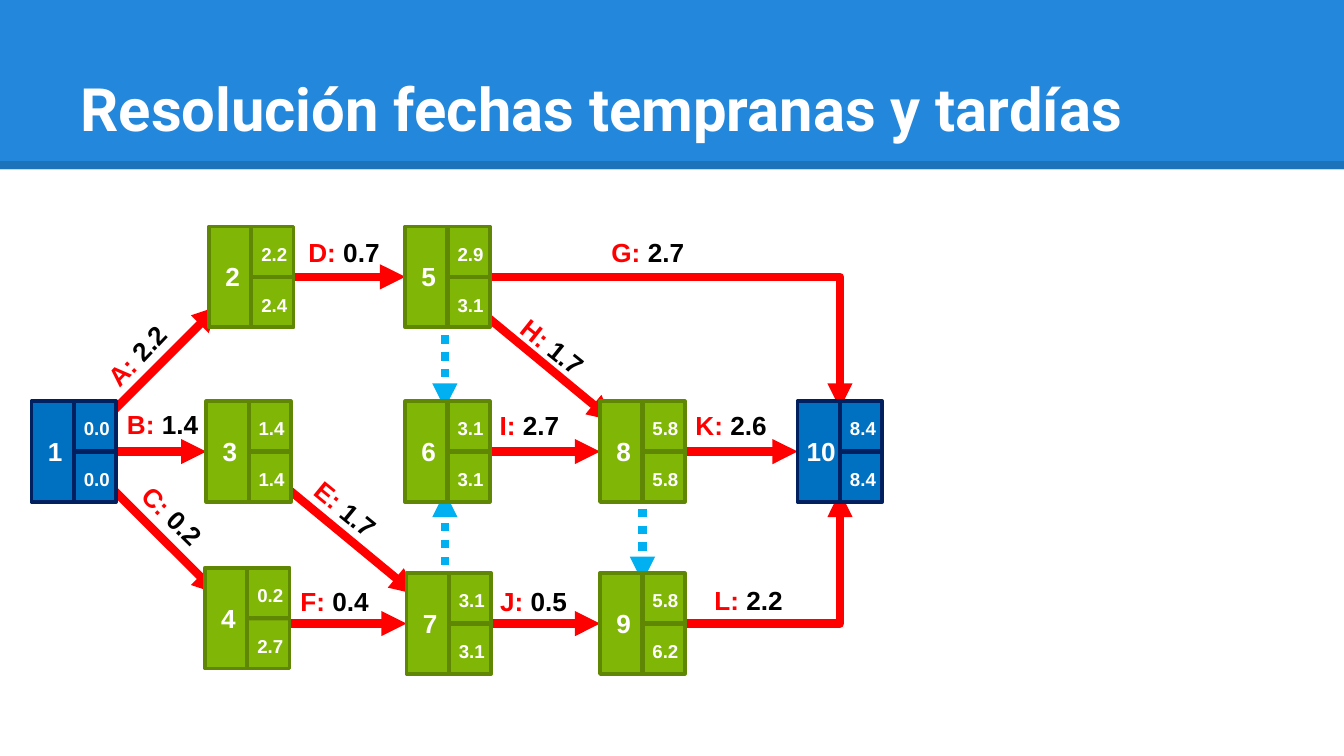
from lxml import etree
from pptx import Presentation
from pptx.dml.color import RGBColor
from pptx.enum.dml import MSO_LINE
from pptx.enum.shapes import MSO_CONNECTOR, MSO_SHAPE
from pptx.enum.text import MSO_ANCHOR, MSO_AUTO_SIZE, PP_ALIGN
from pptx.oxml.ns import qn
from pptx.util import Inches, Pt

STRAIGHT, ELBOW = MSO_CONNECTOR.STRAIGHT, MSO_CONNECTOR.ELBOW
TOP, LEFT, BOTTOM, RIGHT = range(4)

WHITE = RGBColor(0xFF, 0xFF, 0xFF)
BLACK = RGBColor(0x00, 0x00, 0x00)
RED = RGBColor(0xFF, 0x00, 0x00)
SKY = RGBColor(0x00, 0xB0, 0xF0)
BAND_BLUE = RGBColor(0x23, 0x88, 0xDB)
BLUE = RGBColor(0x00, 0x70, 0xC0)
NAVY = RGBColor(0x00, 0x20, 0x60)
GREEN = RGBColor(0x80, 0xB6, 0x06)
DARK_GREEN = RGBColor(0x5F, 0x87, 0x04)

# Centres of the network grid, in inches
COLUMNS = [0.55, 1.84, 3.31, 4.78, 6.25]
ROWS = [2.06, 3.35, 4.64]
NODE_WIDTH, NODE_HEIGHT = 0.63, 0.75
SIDE_REACH, CORNER_REACH = 0.31, 0.22

# number: column, row, shift right, shift down, earliest date, latest date
NODES = {
    1: (0, 1, 0, 0.01, "0.0", "0.0"),
    2: (1, 0, 0.03, 0, "2.2", "2.4"),
    3: (1, 1, 0.01, 0.01, "1.4", "1.4"),
    4: (1, 2, 0, -0.04, "0.2", "2.7"),
    5: (2, 0, 0.02, 0, "2.9", "3.1"),
    6: (2, 1, 0.02, 0.01, "3.1", "3.1"),
    7: (2, 2, 0.03, 0, "3.1", "3.1"),
    8: (3, 1, 0, 0.01, "5.8", "5.8"),
    9: (3, 2, 0, 0, "5.8", "6.2"),
    10: (4, 1, 0, 0.01, "8.4", "8.4"),
}
# name, duration, from node, to node, label centre, label rotation
ACTIVITIES = [
    ("A", "2.2", 1, 2, 1.02, 2.65, 313.4),
    ("B", "1.4", 1, 3, 1.21, 3.16, 0),
    ("C", "0.2", 1, 4, 1.28, 3.84, 44.4),
    ("D", "0.7", 2, 5, 2.56, 1.88, 0),
    ("E", "1.7", 3, 7, 2.57, 3.79, 39.3),
    ("F", "0.4", 4, 7, 2.49, 4.48, 0),
    ("G", "2.7", 5, 10, 4.82, 1.88, 0),
    ("H", "1.7", 5, 8, 4.11, 2.58, 38.6),
    ("I", "2.7", 6, 8, 3.94, 3.17, 0),
    ("J", "0.5", 7, 9, 3.97, 4.48, 0),
    ("K", "2.6", 8, 10, 5.44, 3.17, 0),
    ("L", "2.2", 9, 10, 5.57, 4.47, 0),
]
DUMMIES = [(7, 6), (5, 6), (8, 9)]
ELBOWS = ["G", "L"]


def add_text(shapes, center_x, center_y, width, height, size, runs):
    text_box = shapes.add_textbox(Inches(center_x - width / 2), Inches(center_y - height / 2),
                                  Inches(width), Inches(height))
    frame = text_box.text_frame
    frame.word_wrap = False
    frame.auto_size = MSO_AUTO_SIZE.SHAPE_TO_FIT_TEXT
    paragraph = frame.paragraphs[0]
    paragraph.alignment = PP_ALIGN.CENTER
    for text, color in runs:
        run = paragraph.add_run()
        run.text = text
        for name, value in {"name": "Arial", "size": Pt(size), "bold": True}.items():
            setattr(run.font, name, value)
        run.font.color.rgb = color
    return text_box


def add_line(shapes, start, end, color, width, kind=STRAIGHT):
    line = shapes.add_connector(kind, *map(Inches, (*start, *end)))
    line.line.color.rgb = color
    line.line.width = Pt(width)
    etree.SubElement(line.element.spPr, qn("a:effectLst"))
    return line


presentation = Presentation()
presentation.slide_width = Inches(10)
presentation.slide_height = presentation.slide_width * 9 // 16
slide = presentation.slides.add_slide(presentation.slide_layouts[5])
shapes = slide.shapes

# Title band
band = shapes.add_shape(MSO_SHAPE.RECTANGLE, 0, 0, presentation.slide_width, Inches(1.26))
band.shadow.inherit = False
band.fill.solid()
band.fill.fore_color.rgb = BAND_BLUE
band.line.fill.background()
band_edge = add_line(shapes, (0, 1.23), (10, 1.23), BLACK, 4.5)
edge_color = band_edge.element.spPr.find(".//" + qn("a:srgbClr"))
etree.SubElement(edge_color, qn("a:alpha"), val="14000")

title = shapes.title
for name, value in {"left": 0.5, "top": 0.23, "width": 9, "height": 0.94}.items():
    setattr(title, name, Inches(value))
title_frame = title.text_frame
title_frame.text = "Resolución fechas tempranas y tardías"
title_frame.auto_size = MSO_AUTO_SIZE.NONE
title_frame.vertical_anchor = MSO_ANCHOR.BOTTOM
for side in ("left", "top", "right", "bottom"):
    setattr(title_frame, "margin_" + side, Inches(0.1))
title_paragraph = title_frame.paragraphs[0]
title_paragraph.alignment = PP_ALIGN.LEFT
for name, value in {"name": "Roboto", "size": Pt(32), "bold": True}.items():
    setattr(title_paragraph.font, name, value)
title_paragraph.font.color.rgb = WHITE
shapes.element.append(title.element)

# Nodes: number on the left, earliest and latest dates on the right
groups, boxes = [], {}
for number, (column, row, shift_x, shift_y, earliest, latest) in NODES.items():
    x, y = COLUMNS[column] + shift_x, ROWS[row] + shift_y
    top, right = y - NODE_HEIGHT / 2, x + NODE_WIDTH / 2
    fill, outline = (BLUE, NAVY) if number in (1, 10) else (GREEN, DARK_GREEN)
    group = shapes.add_group_shape()
    box = group.shapes.add_shape(MSO_SHAPE.RECTANGLE, Inches(x - NODE_WIDTH / 2), Inches(top),
                                 Inches(NODE_WIDTH), Inches(NODE_HEIGHT))
    box.shadow.inherit = False
    box.fill.solid()
    box.fill.fore_color.rgb = fill
    box.line.color.rgb = outline
    box.line.width = Pt(2)
    column_divider = add_line(group.shapes, (x, top), (x, top + NODE_HEIGHT), outline, 2.25)
    column_divider.begin_connect(box, TOP)
    column_divider.end_connect(box, BOTTOM)
    row_divider = add_line(group.shapes, (x, y), (right, y), outline, 2.25)
    row_divider.end_connect(box, RIGHT)
    number_width = 0.31 if number < 10 else 0.42
    add_text(group.shapes, x - 0.14, y, number_width, 0.34, 14, [(str(number), WHITE)])
    add_text(group.shapes, x + 0.17, y - 0.17, 0.39, 0.27, 10, [(earliest, WHITE)])
    add_text(group.shapes, x + 0.17, y + 0.21, 0.39, 0.27, 10, [(latest, WHITE)])
    groups.append(group)
    boxes[number] = box

# Arrows: they leave by a side, or by a corner when they run diagonally
arrows = [(name, start, end) for name, _, start, end, *_ in ACTIVITIES]
arrows += [("", start, end) for start, end in DUMMIES]
for name, start, end in arrows:
    (start_column, start_row), (end_column, end_row) = NODES[start][:2], NODES[end][:2]
    step_x = (end_column > start_column) - (end_column < start_column)
    step_y = (end_row > start_row) - (end_row < start_row)
    reach = CORNER_REACH if step_x and step_y else SIDE_REACH
    leave = arrive = (step_x * reach, step_y * reach)
    if name in ELBOWS:
        leave, arrive = (SIDE_REACH, 0), (0, step_y * SIDE_REACH)
    arrow = add_line(
        shapes,
        (COLUMNS[start_column] + leave[0], ROWS[start_row] + leave[1]),
        (COLUMNS[end_column] - arrive[0], ROWS[end_row] - arrive[1]),
        RED if name else SKY, 4.5, ELBOW if name in ELBOWS else STRAIGHT)
    if name in ELBOWS:
        arrow.element.spPr.find(qn("a:prstGeom")).set("prst", "bentConnector2")
    if not name:
        arrow.line.dash_style = MSO_LINE.ROUND_DOT
    etree.SubElement(arrow.element.spPr.get_or_add_ln(), qn("a:tailEnd"), type="triangle")
    if step_y == 0:
        if abs(NODES[start][3]) < 0.03:
            arrow.begin_connect(boxes[start], RIGHT)
        arrow.end_connect(boxes[end], LEFT)

for name, duration, _, _, x, y, rotation in ACTIVITIES:
    label = add_text(shapes, x, y, 0.76, 0.34, 14, [(name + ": ", RED), (duration, BLACK)])
    label.rotation = rotation

# Nodes cover the arrow ends
for group in groups:
    shapes.element.append(group.element)

presentation.save("out.pptx")
